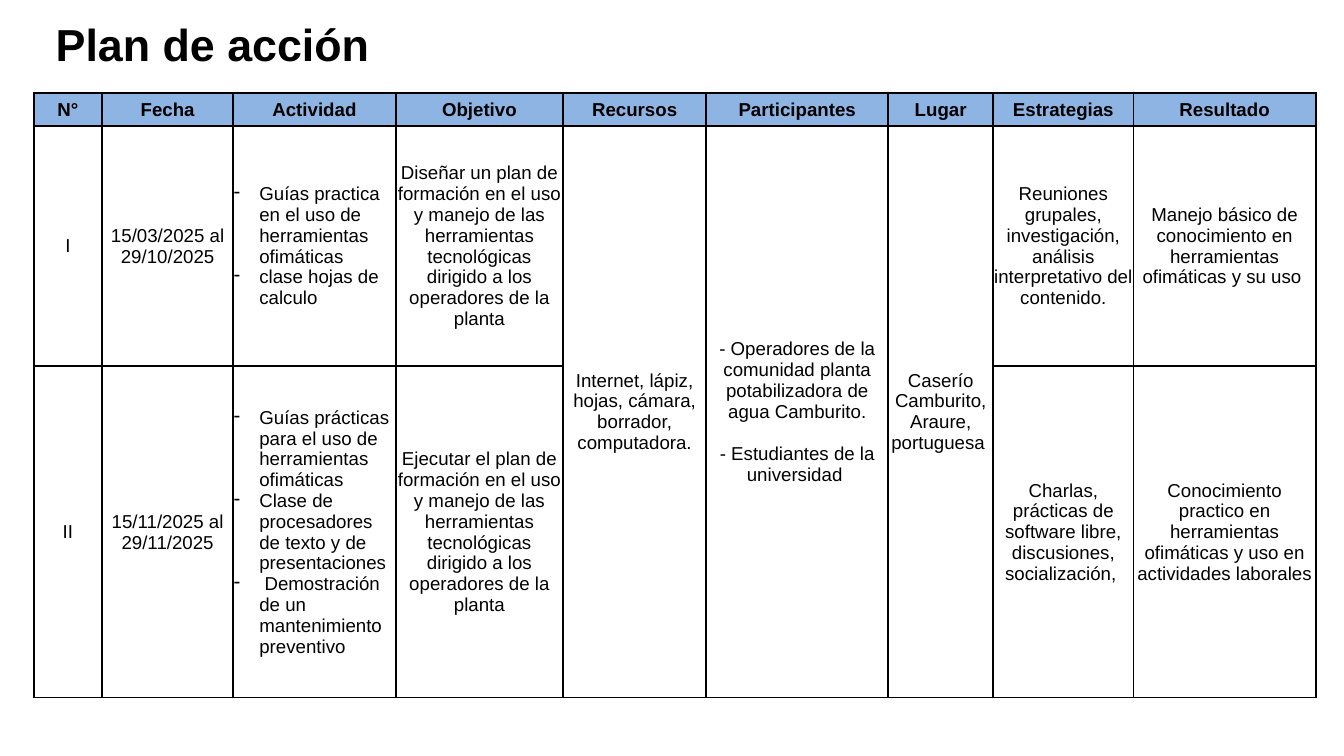
from dataclasses import dataclass

from lxml.etree import SubElement
from pptx import Presentation
from pptx.dml.color import RGBColor
from pptx.enum.text import MSO_ANCHOR as Anchor, MSO_AUTO_SIZE as AutoSize, PP_ALIGN as Align
from pptx.oxml.ns import qn
from pptx.util import Pt

PX = 9144


@dataclass(frozen=True)
class Theme:
    font: str = "Arial"
    ink: str = "000000"
    header_fill: str = "8EB4E3"
    title_size: int = 48
    title_leading: int = 27
    body_size: int = 20
    paragraph_gap: int = 23
    border_width: float = 2.25


THEME = Theme()

COLUMN_WIDTHS = [102, 195, 242, 249, 213, 271, 156, 209, 271]
ROW_HEIGHTS = [49, 358, 493]
ACTIVITY_COLUMN = 2
SHARED_COLUMNS = range(4, 7)
HANGING_INDENT = 38

HEADERS = ["N°", "Fecha", "Actividad", "Objetivo", "Recursos", "Participantes",
           "Lugar", "Estrategias", "Resultado"]
PHASES = [
    ["I",
     "15/03/2025 al 29/10/2025",
     ["Guías practica en el uso de herramientas ofimáticas",
      "clase hojas de calculo"],
     "Diseñar un plan de formación en el uso y manejo de las herramientas "
     "tecnológicas dirigido a los operadores de la planta",
     "Internet, lápiz, hojas, cámara, borrador, computadora.",
     ["- Operadores de la comunidad planta potabilizadora de agua Camburito.",
      "- Estudiantes de la universidad "],
     "Caserío Camburito, Araure, portuguesa ",
     "Reuniones grupales, investigación, análisis interpretativo del contenido.",
     "Manejo básico de conocimiento en herramientas ofimáticas y su uso "],
    ["II",
     "15/11/2025 al 29/11/2025",
     ["Guías prácticas para el uso de herramientas ofimáticas",
      "Clase de procesadores de texto y de presentaciones",
      " Demostración de un mantenimiento preventivo"],
     "Ejecutar el plan de formación en el uso y manejo de las herramientas "
     "tecnológicas dirigido a los operadores de la planta",
     None, None, None,
     "Charlas, prácticas de software libre, discusiones, socialización, ",
     "Conocimiento practico en herramientas ofimáticas y uso en actividades laborales"],
]


def px(length):
    return length * PX


def style_runs(paragraph, size, bold=False):
    for run in paragraph.runs:
        run.font.name = THEME.font
        run.font.size = Pt(size)
        run.font.bold = bold
        run.font.color.rgb = RGBColor.from_string(THEME.ink)


def add_title(slide, text):
    title = slide.shapes.add_textbox(px(83), px(68), px(1116), px(48))
    frame = title.text_frame
    frame.word_wrap = True
    frame.auto_size = AutoSize.SHAPE_TO_FIT_TEXT
    frame.margin_left = frame.margin_top = frame.margin_right = frame.margin_bottom = 0
    frame.text = text
    heading = frame.paragraphs[0]
    heading.line_spacing = Pt(THEME.title_leading)
    style_runs(heading, THEME.title_size, bold=True)


def add_dash(paragraph):
    properties = paragraph._p.get_or_add_pPr()
    properties.set("marL", str(px(HANGING_INDENT)))
    properties.set("indent", str(-px(HANGING_INDENT)))
    SubElement(properties, qn("a:buChar"), char="-")


def draw_borders(cell):
    properties = cell._tc.get_or_add_tcPr()
    for side in ("L", "R", "T", "B"):
        line = SubElement(properties, qn(f"a:ln{side}"), w=str(Pt(THEME.border_width)))
        fill = SubElement(line, qn("a:solidFill"))
        SubElement(fill, qn("a:srgbClr"), val=THEME.ink)


def format_cell(cell, fill=None):
    draw_borders(cell)
    if fill:
        cell.fill.solid()
        cell.fill.fore_color.rgb = RGBColor.from_string(fill)
    else:
        cell.fill.background()
    cell.vertical_anchor = Anchor.MIDDLE
    cell.margin_left = cell.margin_top = cell.margin_right = px(1)
    cell.margin_bottom = 0


def write_cell(cell, content, bold=False, dashed=False):
    entries = [content] if isinstance(content, str) else content
    frame = cell.text_frame
    frame.text = "\n".join(entries)
    for position, paragraph in enumerate(frame.paragraphs):
        if dashed:
            add_dash(paragraph)
        else:
            paragraph.alignment = Align.CENTER
            if position:
                paragraph.space_before = Pt(THEME.paragraph_gap)
        style_runs(paragraph, THEME.body_size, bold)


def add_plan_table(slide):
    rows = [HEADERS, *PHASES]
    plan = slide.shapes.add_table(
        len(rows), len(HEADERS), px(50), px(138),
        px(sum(COLUMN_WIDTHS)), px(sum(ROW_HEIGHTS))).table
    plan.horz_banding = False
    for column, width in zip(plan.columns, COLUMN_WIDTHS):
        column.width = px(width)
    for row, height in zip(plan.rows, ROW_HEIGHTS):
        row.height = px(height)
    for column in SHARED_COLUMNS:
        plan.cell(1, column).merge(plan.cell(2, column))
    for row, contents in enumerate(rows):
        is_header = row == 0
        for column, content in enumerate(contents):
            cell = plan.cell(row, column)
            format_cell(cell, THEME.header_fill if is_header else None)
            if content:
                dashed = column == ACTIVITY_COLUMN and not is_header
                write_cell(cell, content, bold=is_header, dashed=dashed)


def main():
    deck = Presentation()
    deck.slide_width, deck.slide_height = px(2000), px(1125)
    slide = deck.slides.add_slide(deck.slide_layouts[6])
    add_title(slide, "Plan de acción")
    add_plan_table(slide)
    deck.save("out.pptx")


if __name__ == "__main__":
    main()
